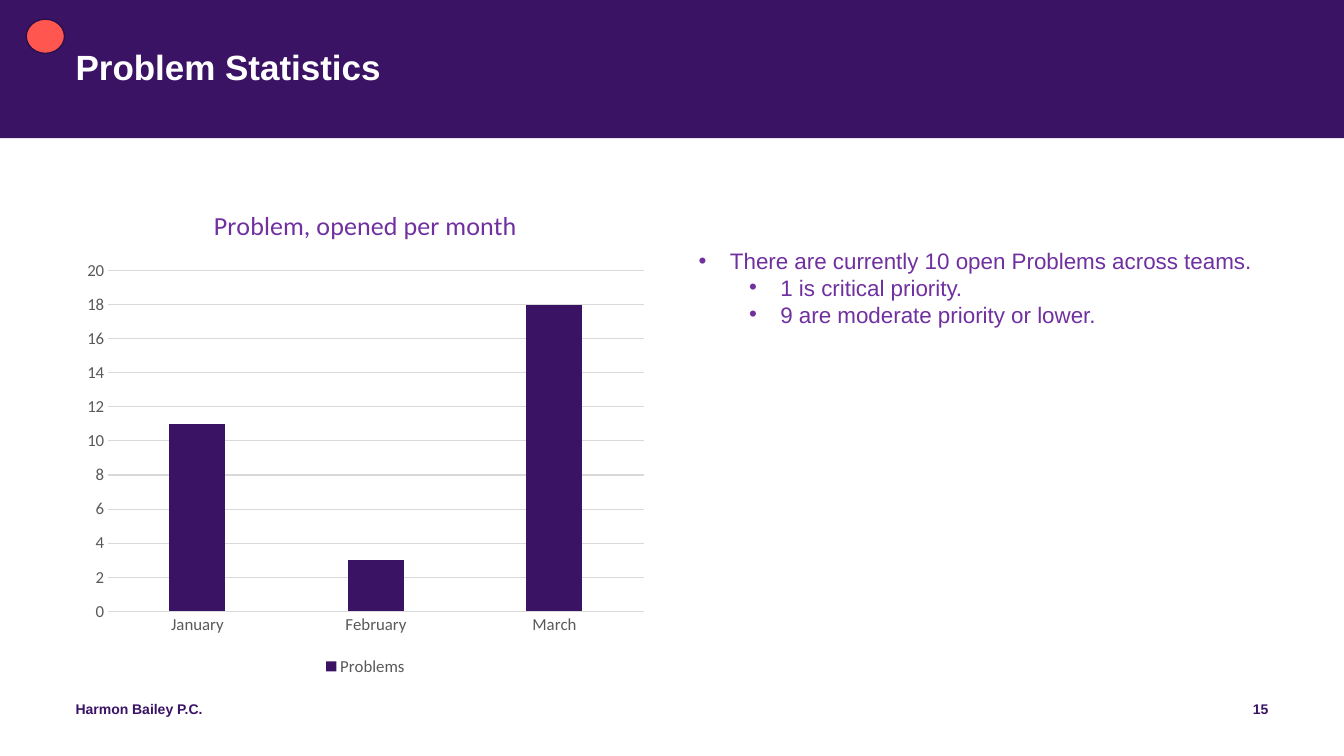
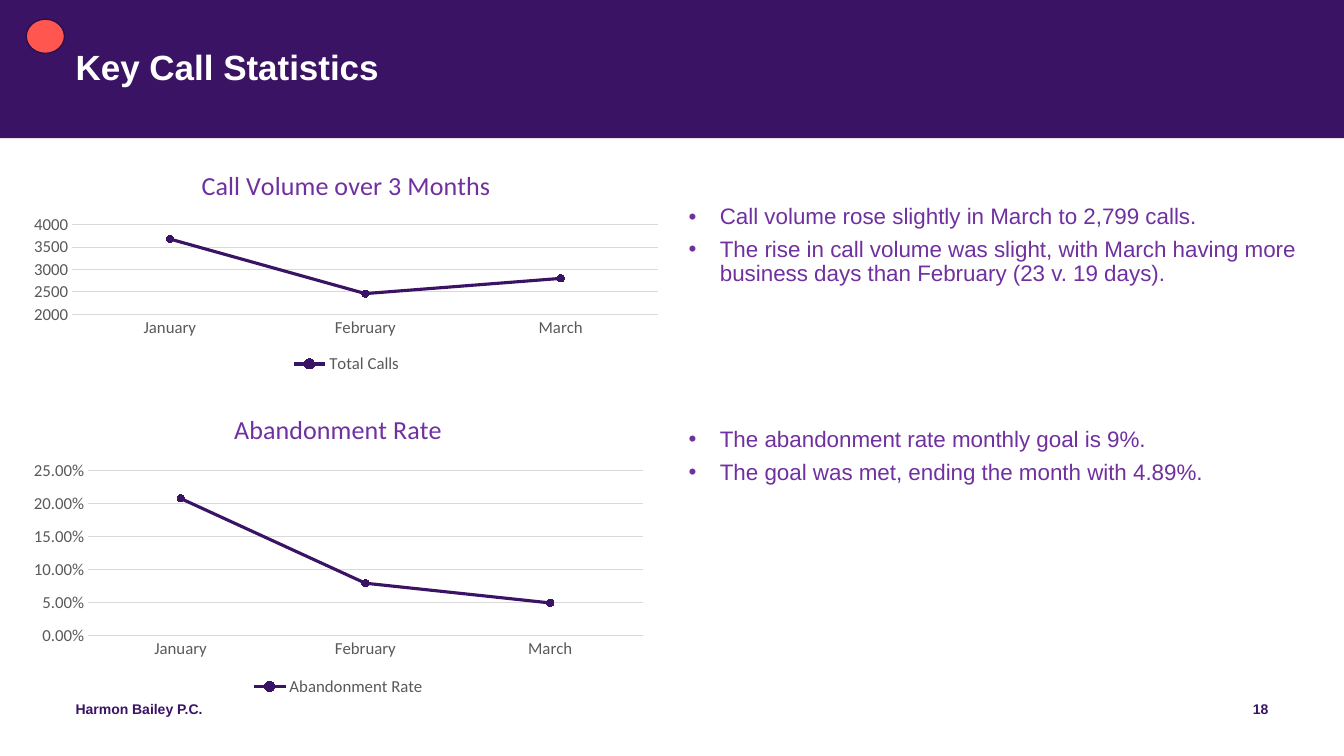
import lxml.etree
import pptx
import pptx.chart.data
import pptx.dml.color
import pptx.enum.chart
import pptx.enum.shapes
import pptx.enum.text
import pptx.oxml.ns
import pptx.util

Inches = pptx.util.Inches
Pt = pptx.util.Pt
RGBColor = pptx.dml.color.RGBColor
ChartType = pptx.enum.chart.XL_CHART_TYPE
Align = pptx.enum.text.PP_ALIGN
Shape = pptx.enum.shapes.MSO_SHAPE

INDIGO = RGBColor(0x3B, 0x13, 0x65)
DARK_INDIGO = RGBColor(0x2C, 0x0E, 0x4B)
PURPLE = RGBColor(0x70, 0x30, 0xA0)
CORAL = RGBColor(0xFF, 0x57, 0x50)
WHITE = RGBColor(0xFF, 0xFF, 0xFF)
GRAY = RGBColor(0x59, 0x59, 0x59)
LIGHT_GRAY = RGBColor(0xD9, 0xD9, 0xD9)

MONTHS = ("January", "February", "March")
FIRM = "Harmon Bailey P.C."
MARGIN = 0.75
CONTENT_WIDTH = 11.83


class Report:
    """Holds the report style and the slide being built."""

    frame_format = dict(margin_left=0, margin_right=0, margin_top=0, margin_bottom=0,
                        word_wrap=True, auto_size=pptx.enum.text.MSO_AUTO_SIZE.NONE,
                        vertical_anchor=pptx.enum.text.MSO_ANCHOR.TOP)
    title_font = dict(name="Arial", size=Pt(25), bold=True)
    footer_font = dict(name="Arial", size=Pt(10), bold=True)
    body_font = dict(name="Arial", size=Pt(16), bold=False)
    chart_title_font = dict(name="Calibri", size=Pt(18.6), bold=False)
    label_font = dict(name="Calibri", size=Pt(12), bold=False)

    def __init__(self):
        self.deck = pptx.Presentation()
        self.apply(self.deck, dict(slide_width=Inches(13.33), slide_height=Inches(7.5)))
        self.slide = None

    def apply(self, target, values):
        for key, value in values.items():
            setattr(target, key, value)

    def style_font(self, font, values, color):
        self.apply(font, values)
        font.color.rgb = color

    def place(self, shape, box):
        self.apply(shape, dict(zip(("left", "top", "width", "height"), map(Inches, box))))

    def fill_text(self, frame, lines, font, color, **paragraph_format):
        self.apply(frame, self.frame_format)
        frame.text = "\n".join(lines)
        for paragraph in frame.paragraphs:
            self.apply(paragraph, dict(space_before=Pt(0), **paragraph_format))
            self.style_font(paragraph.runs[0].font, font, color)

    def new_slide(self, layout, title, number):
        self.slide = self.deck.slides.add_slide(self.deck.slide_layouts[layout])
        band = self.shape(Shape.RECTANGLE, (0, 0, 13.33, 1.37), INDIGO)
        self.slide.shapes._spTree.insert(2, band._element)
        heading = self.slide.shapes.title
        self.place(heading, (MARGIN, 0.5, CONTENT_WIDTH, 0.81))
        self.fill_text(heading.text_frame, [title], self.title_font, WHITE,
                       alignment=Align.LEFT, line_spacing=0.9)
        self.footer(FIRM, MARGIN, 4.5, Align.LEFT)
        self.footer(str(number), MARGIN + CONTENT_WIDTH - 3, 3, Align.RIGHT)

    def footer(self, text, left, width, alignment):
        footer = self.slide.shapes.add_textbox(*map(Inches, (left, 6.95, width, 0.4)))
        self.fill_text(footer.text_frame, [text], self.footer_font, INDIGO, alignment=alignment)

    def shape(self, preset, box, fill, outline=None):
        shape = self.slide.shapes.add_shape(preset, *map(Inches, box))
        shape.shadow.inherit = False
        shape.fill.solid()
        shape.fill.fore_color.rgb = fill
        if outline is None:
            shape.line.fill.background()
        else:
            shape.line.color.rgb = outline
            shape.line.width = Pt(1)
        return shape

    def badge(self):
        self.shape(Shape.OVAL, (0.26, 0.19, 0.38, 0.34), CORAL, DARK_INDIGO)

    def bullets(self, slot, box, items, **paragraph_format):
        body = self.slide.placeholders[slot]
        self.place(body, box)
        self.fill_text(body.text_frame, [text for text, level in items], self.body_font, PURPLE,
                       alignment=Align.LEFT, **paragraph_format)
        for paragraph, (text, level) in zip(body.text_frame.paragraphs, items):
            paragraph.level = level
            properties = paragraph._p.get_or_add_pPr()
            properties.set("marL", str(Inches(0.31 + 0.5 * level)))
            properties.set("indent", str(Inches(-0.31)))
            for tag, key, value in (("a:buFont", "typeface", "Arial"), ("a:buChar", "char", "•")):
                lxml.etree.SubElement(properties, pptx.oxml.ns.qn(tag)).set(key, value)

    def chart(self, kind, box, title, name, values, scale, number_format="General"):
        data = pptx.chart.data.CategoryChartData(number_format=number_format)
        data.categories = MONTHS
        data.add_series(name, values)
        chart = self.slide.shapes.add_chart(kind, *map(Inches, box), data).chart
        self.style_font(chart.font, self.label_font, GRAY)
        chart.has_title = True
        heading = chart.chart_title.text_frame
        heading.text = title
        self.style_font(heading.paragraphs[0].runs[0].font, self.chart_title_font, PURPLE)
        chart.has_legend = True
        self.apply(chart.legend, dict(position=pptx.enum.chart.XL_LEGEND_POSITION.BOTTOM,
                                      include_in_layout=False))
        self.style_font(chart.legend.font, self.label_font, GRAY)
        self.axes(chart, scale, number_format)
        return chart

    def axes(self, chart, scale, number_format):
        no_ticks = pptx.enum.chart.XL_TICK_MARK.NONE
        months, amounts = chart.category_axis, chart.value_axis
        for axis in (months, amounts):
            self.apply(axis, dict(major_tick_mark=no_ticks, minor_tick_mark=no_ticks))
            self.style_font(axis.tick_labels.font, self.label_font, GRAY)
        self.apply(amounts, dict(zip(("minimum_scale", "maximum_scale", "major_unit"), scale)))
        self.apply(amounts.tick_labels, dict(number_format=number_format,
                                             number_format_is_linked=False))
        amounts.format.line.fill.background()
        for line in (months.format.line, amounts.major_gridlines.format.line):
            line.color.rgb = LIGHT_GRAY
            line.width = Pt(0.75)

    def column_chart(self, *content):
        plot = self.chart(ChartType.COLUMN_CLUSTERED, *content).plots[0]
        self.apply(plot, dict(gap_width=219, overlap=-27, vary_by_categories=False))
        fill = plot.series[0].format.fill
        fill.solid()
        fill.fore_color.rgb = INDIGO

    def line_chart(self, *content):
        plot = self.chart(ChartType.LINE_MARKERS, *content).plots[0]
        plot.vary_by_categories = False
        series = plot.series[0]
        series.smooth = False
        series.format.line.color.rgb = INDIGO
        series.format.line.width = Pt(2.25)
        marker = series.marker
        self.apply(marker, dict(style=pptx.enum.chart.XL_MARKER_STYLE.CIRCLE, size=5))
        marker.format.fill.solid()
        marker.format.fill.fore_color.rgb = INDIGO
        marker.format.line.color.rgb = INDIGO


def main():
    report = Report()

    report.new_slide(1, "Problem Statistics", 15)
    report.column_chart((MARGIN, 1.86, 5.75, 4.89), "Problem, opened per month",
                        "Problems", (11, 3, 18), (0, 20, 2))
    report.bullets(1, (6.93, 2.45, 5.86, 1.4),
                   [("There are currently 10 open Problems across teams.", 0),
                    ("1 is critical priority.", 1),
                    ("9 are moderate priority or lower.", 1)],
                   line_spacing=1.0, space_after=Pt(0))
    report.badge()

    report.new_slide(3, "Key Call Statistics", 18)
    spacing = dict(line_spacing=0.9, space_after=Pt(6))
    report.line_chart((0.21, 1.51, 6.45, 2.24), "Call Volume over 3 Months",
                      "Total Calls", (3680, 2460, 2800), (2000, 4000, 500))
    report.bullets(1, (6.83, 2.04, 6.17, 1.53),
                   [("Call volume rose slightly in March to 2,799 calls.", 0),
                    ("The rise in call volume was slight, with March having more "
                     "business days than February (23 v. 19 days).", 0)], **spacing)
    report.line_chart((0.21, 3.92, 6.29, 3.03), "Abandonment Rate",
                      "Abandonment Rate", (0.208, 0.079, 0.049), (0, 0.25, 0.05), "0.00%")
    report.bullets(2, (6.83, 4.25, 6.17, 3.03),
                   [("The abandonment rate monthly goal is 9%.", 0),
                    ("The goal was met, ending the month with 4.89%.", 0)], **spacing)
    report.badge()

    report.deck.save("out.pptx")


if __name__ == "__main__":
    main()
